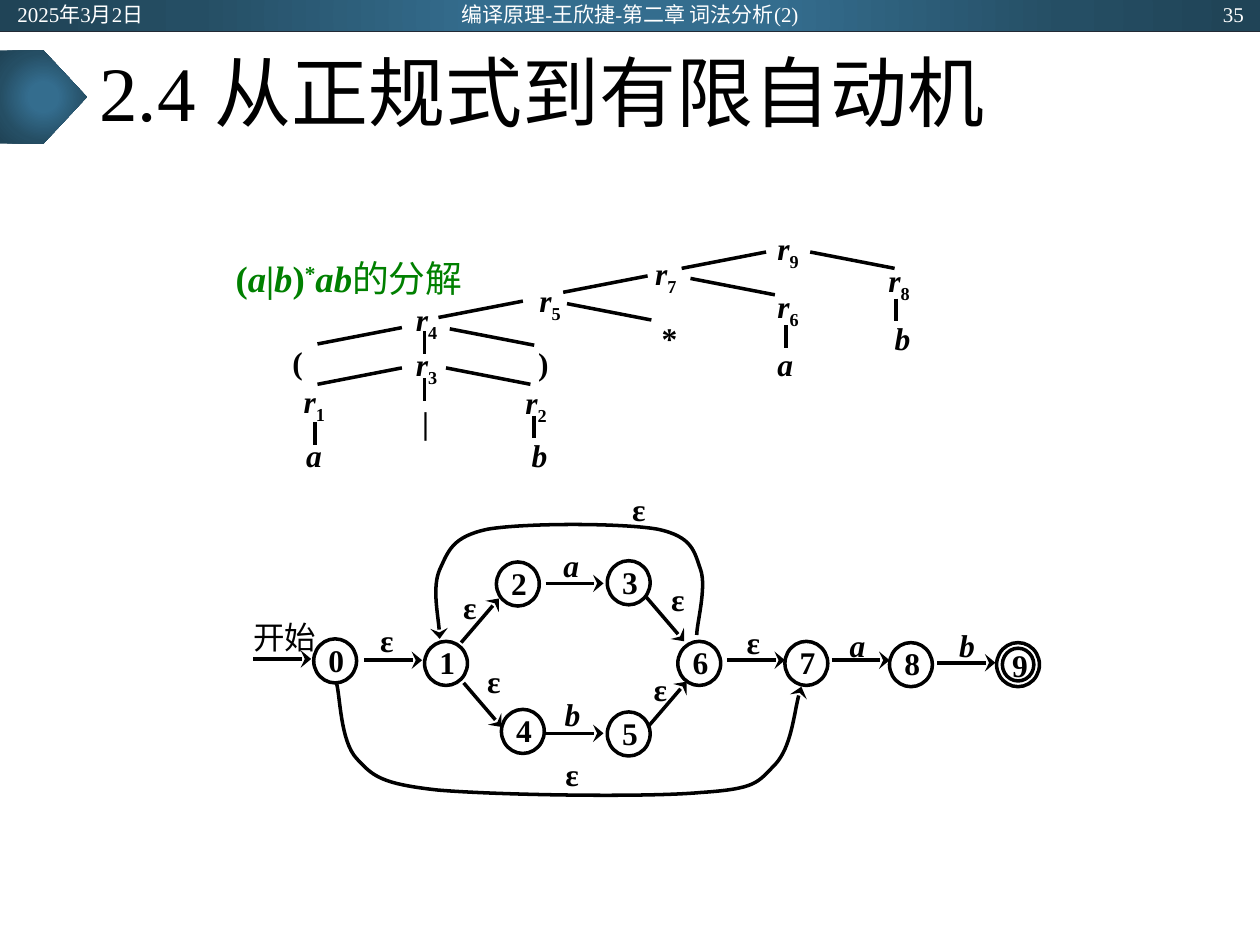
from lxml import etree
from pptx import Presentation
from pptx.dml.color import RGBColor
from pptx.enum.shapes import MSO_CONNECTOR, MSO_SHAPE
from pptx.enum.text import MSO_ANCHOR, PP_ALIGN
from pptx.oxml.ns import qn
from pptx.util import Inches, Pt

STRAIGHT = MSO_CONNECTOR.STRAIGHT
RECTANGLE, PENTAGON, OVAL = MSO_SHAPE.RECTANGLE, MSO_SHAPE.PENTAGON, MSO_SHAPE.OVAL
TOP, MIDDLE = MSO_ANCHOR.TOP, MSO_ANCHOR.MIDDLE
LEFT, CENTER, RIGHT, JUSTIFY = PP_ALIGN.LEFT, PP_ALIGN.CENTER, PP_ALIGN.RIGHT, PP_ALIGN.JUSTIFY

FONT = "Times New Roman"
COLORS = {"ink": "000000", "white": "FFFFFF", "green": "008000", "rule": "222A35"}
BAND_STOPS = [(0, "346D8E"), (23, "346D8E"), (69, "254E64"), (97, "204457")]

WIDTH, HEIGHT = 10, 7.5
HEADER_HEIGHT = 0.25
HEADER = [  # text, left, width, alignment
    ("2025年3月2日", 0.04, 2.25, LEFT),
    ("编译原理-王欣捷-第二章 词法分析(2)", 3.31, 3.38, CENTER),
    ("35", 7.72, 2.25, RIGHT),
]
TITLE = "2.4 从正规式到有限自动机"

# Text runs are (text, style): b bold, i italic, - subscript, + superscript
EXPRESSION = [("(", "b"), ("a", "bi"), ("|", "b"), ("b", "bi"), (")", "b"),
              ("*", "b+"), ("ab", "bi"), ("的分解", "")]

# Decomposition tree: left and top of each label
SUBEXPRESSIONS = {
    "9": (6.13, 1.81), "7": (5.16, 2.01), "8": (7.01, 2.06), "5": (4.24, 2.22),
    "6": (6.13, 2.27), "4": (3.26, 2.37), "3": (3.26, 2.73), "2": (4.13, 3.03),
    "1": (2.37, 3.02),
}
SYMBOLS = [("*", 5.21, 2.52), (")", 4.23, 2.72), ("(", 2.28, 2.71), ("|", 3.31, 3.19)]
LETTERS = [("a", 2.39, 3.45), ("b", 4.18, 3.45), ("a", 6.13, 2.73), ("b", 7.06, 2.52)]
LABEL_SIZE = (0.38, 0.23)
BRANCH = (0.67, 0.13)
LEFT_BRANCHES = [(6.08, 2), (5.14, 2.19), (4.15, 2.39), (3.19, 2.6), (3.19, 2.92)]
RIGHT_BRANCHES = [(6.43, 2), (5.48, 2.21), (4.5, 2.41), (3.57, 2.61), (3.54, 2.92)]
STEM = 0.18
STEMS = [(3.37, 2.63), (7.11, 2.37), (6.24, 2.58), (3.37, 3), (4.24, 3.3), (2.5, 3.35)]

# Automaton: left and top of each state
STATES = {
    "0": (2.49, 5.07), "1": (3.37, 5.09), "2": (3.94, 4.46), "3": (4.82, 4.45),
    "4": (3.98, 5.63), "5": (4.82, 5.65), "6": (5.38, 5.09), "7": (6.23, 5.09),
    "8": (7.06, 5.1),
}
STATE_SIZE = (0.34, 0.35)
FINAL_STATE = ("9", 7.91, 5.1)
RING_GAP = 0.045
ARROW_LENGTH = 0.46
LEVEL_ARROWS = [(2.01, 5.23), (2.89, 5.24), (5.77, 5.24), (6.6, 5.24), (7.44, 5.26),
                (4.33, 4.63), (4.33, 5.82)]
ARROW_RUN, ARROW_RISE = 0.3, 0.35
SLOPED_ARROWS = [(3.66, 5.1, -1), (5.13, 4.74, 1), (5.15, 5.76, -1), (3.68, 5.42, 1)]
EPSILONS = [(2.92, 4.93), (3.58, 4.67), (3.77, 5.26), (5.23, 4.61), (5.09, 5.32),
            (4.39, 6), (5.83, 4.95), (4.92, 3.89)]
INPUTS = [("a", 4.4, 4.34), ("b", 4.41, 5.52), ("a", 6.67, 4.97), ("b", 7.54, 4.97)]

# Start point, then cubic segments of two control points and an end point
SKIP_CURVE = [(2.67, 5.42), (2.7, 5.52), (2.7, 5.88), (2.83, 6.02),
              (2.96, 6.16), (3.02, 6.22), (3.47, 6.27), (3.93, 6.31), (5.12, 6.33), (5.56, 6.29),
              (6.01, 6.26), (6.01, 6.21), (6.15, 6.07), (6.28, 5.93), (6.31, 5.58), (6.36, 5.45)]
LOOP_CURVE = [(5.53, 5.04), (5.53, 4.95), (5.61, 4.66), (5.56, 4.52),
              (5.51, 4.38), (5.5, 4.26), (5.22, 4.2), (4.94, 4.15), (4.16, 4.15), (3.87, 4.2),
              (3.59, 4.26), (3.56, 4.37), (3.49, 4.52), (3.43, 4.66), (3.49, 4.95), (3.49, 5.07)]

presentation = Presentation()
presentation.slide_width, presentation.slide_height = Inches(WIDTH), Inches(HEIGHT)
slide = presentation.slides.add_slide(presentation.slide_layouts[6])
shapes = slide.shapes


def color(name):
    return RGBColor.from_string(COLORS[name])


def write(shape, runs, size=18, ink="ink", align=CENTER, anchor=MIDDLE,
          insets=(0.04, 0.02, 0.04, 0.02), line_spacing=None):
    """Fill a shape with one paragraph of (text, style) runs."""
    frame = shape.text_frame
    frame.word_wrap = True
    frame.vertical_anchor = anchor
    (frame.margin_left, frame.margin_top,
     frame.margin_right, frame.margin_bottom) = map(Inches, insets)
    paragraph = frame.paragraphs[0]
    paragraph.alignment = align
    paragraph.line_spacing = line_spacing
    for text, style in runs:
        run = paragraph.add_run()
        run.text = text
        font = run.font
        font.name, font.size, font.color.rgb = FONT, Pt(size), color(ink)
        font.bold, font.italic = "b" in style, "i" in style
        for mark, baseline in (("-", "-25000"), ("+", "30000")):
            if mark in style:
                run._r.get_or_add_rPr().set("baseline", baseline)


def add_text(runs, left, top, width, height, **style):
    write(shapes.add_textbox(*map(Inches, (left, top, width, height))), runs, **style)


def stroke(shape, ink="ink", width=2, arrow=False):
    shape.line.color.rgb, shape.line.width = color(ink), Pt(width)
    if arrow:
        etree.SubElement(shape.line._get_or_add_ln(), qn("a:tailEnd"), type="stealth", w="lg")


def add_line(start, end, **style):
    connector = shapes.add_connector(STRAIGHT, *map(Inches, (*start, *end)))
    stroke(connector, **style)
    etree.SubElement(connector._element.spPr, qn("a:effectLst"))


def add_band(kind, left, top, width, height):
    """Add a borderless shape with a gradient spreading from its centre."""
    shape = shapes.add_shape(kind, *map(Inches, (left, top, width, height)))
    shape.shadow.inherit = False
    shape.line.fill.background()
    shape.fill.gradient()
    gradient = shape._element.spPr.find(qn("a:gradFill"))
    for child in list(gradient):
        gradient.remove(child)
    stops = etree.SubElement(gradient, qn("a:gsLst"))
    for position, value in BAND_STOPS:
        stop = etree.SubElement(stops, qn("a:gs"), pos=str(position * 1000))
        etree.SubElement(stop, qn("a:srgbClr"), val=value)
    circle = etree.SubElement(gradient, qn("a:path"), path="circle")
    etree.SubElement(circle, qn("a:fillToRect"), l="50000", t="50000", r="50000", b="50000")


def add_circle(left, top, width, height):
    circle = shapes.add_shape(OVAL, *map(Inches, (left, top, width, height)))
    circle.shadow.inherit = False
    circle.fill.background()
    stroke(circle)
    return circle


def add_curve(points):
    """Draw a chain of cubic curves as an open outline with an arrowhead."""
    start, *rest = [(Inches(x), Inches(y)) for x, y in points]
    builder = shapes.build_freeform(*start)
    builder.add_line_segments(rest, close=False)
    curve = builder.convert_to_shape()
    segments = list(curve._element.spPr.iter(qn("a:lnTo")))
    for first in range(0, len(segments), 3):
        cubic = etree.Element(qn("a:cubicBezTo"))
        segments[first].addprevious(cubic)
        for segment in segments[first:first + 3]:
            cubic.append(segment[0])
            segment.getparent().remove(segment)
    curve.shadow.inherit = False
    curve.fill.background()
    stroke(curve, arrow=True)


# Header and title
add_band(RECTANGLE, 0, 0, WIDTH, HEADER_HEIGHT)
add_line((0, HEADER_HEIGHT), (WIDTH, HEADER_HEIGHT), ink="rule", width=0.5)
add_band(PENTAGON, 0, 0.4, 0.69, 0.74)
add_text([(TITLE, "")], 0.69, 0.25, 8.62, 1.04, size=44, align=LEFT,
         insets=(0.1, 0.05, 0.1, 0.05), line_spacing=0.9)
for text, left, width, align in HEADER:
    add_text([(text, "")], left, 0.01, width, 0.2, size=12, ink="white", align=align,
             insets=(0.1, 0.05, 0.1, 0.05))

# Automaton
for name, (left, top) in STATES.items():
    write(add_circle(left, top, *STATE_SIZE), [(name, "b")], insets=(0.04, 0.02, 0.02, 0.04))
name, left, top = FINAL_STATE
add_circle(left, top, *STATE_SIZE)
inner = add_circle(left + RING_GAP, top + RING_GAP, *(side - 2 * RING_GAP for side in STATE_SIZE))
write(inner, [(name, "b")], insets=(0.04, 0, 0.01, 0))
for x, y in LEVEL_ARROWS:
    add_line((x, y), (x + ARROW_LENGTH, y), arrow=True)
for x, y, direction in SLOPED_ARROWS:
    add_line((x, y), (x + ARROW_RUN, y + direction * ARROW_RISE), arrow=True)
for curve_points in (SKIP_CURVE, LOOP_CURVE):
    add_curve(curve_points)
add_text([("开始", "")], 1.83, 4.89, 0.86, 0.33)
for left, top in EPSILONS:
    add_text([("ε", "b")], left, top, 0.3, 0.29)
for letter, left, top in INPUTS:
    add_text([(letter, "bi")], left, top, 0.27, 0.29)

# Decomposition tree
tree_labels = [([("r", "bi"), (index, "b-")], *place) for index, place in SUBEXPRESSIONS.items()]
tree_labels += [([(symbol, "b")], left, top) for symbol, left, top in SYMBOLS]
tree_labels += [([(letter, "bi")], left, top) for letter, left, top in LETTERS]
for runs, left, top in tree_labels:
    add_text(runs, left, top, *LABEL_SIZE, align=JUSTIFY, anchor=TOP,
             insets=(0.04, 0.01, 0.04, 0.01))
for side, starts in ((-1, LEFT_BRANCHES), (1, RIGHT_BRANCHES)):
    for x, y in starts:
        add_line((x, y), (x + side * BRANCH[0], y + BRANCH[1]))
for x, y in STEMS:
    add_line((x, y), (x, y + STEM))
add_text(EXPRESSION, 1.69, 2.01, 2.17, 0.41, size=21, ink="green", anchor=TOP,
         insets=(0.06, 0.02, 0.07, 0.04))

presentation.save("out.pptx")
